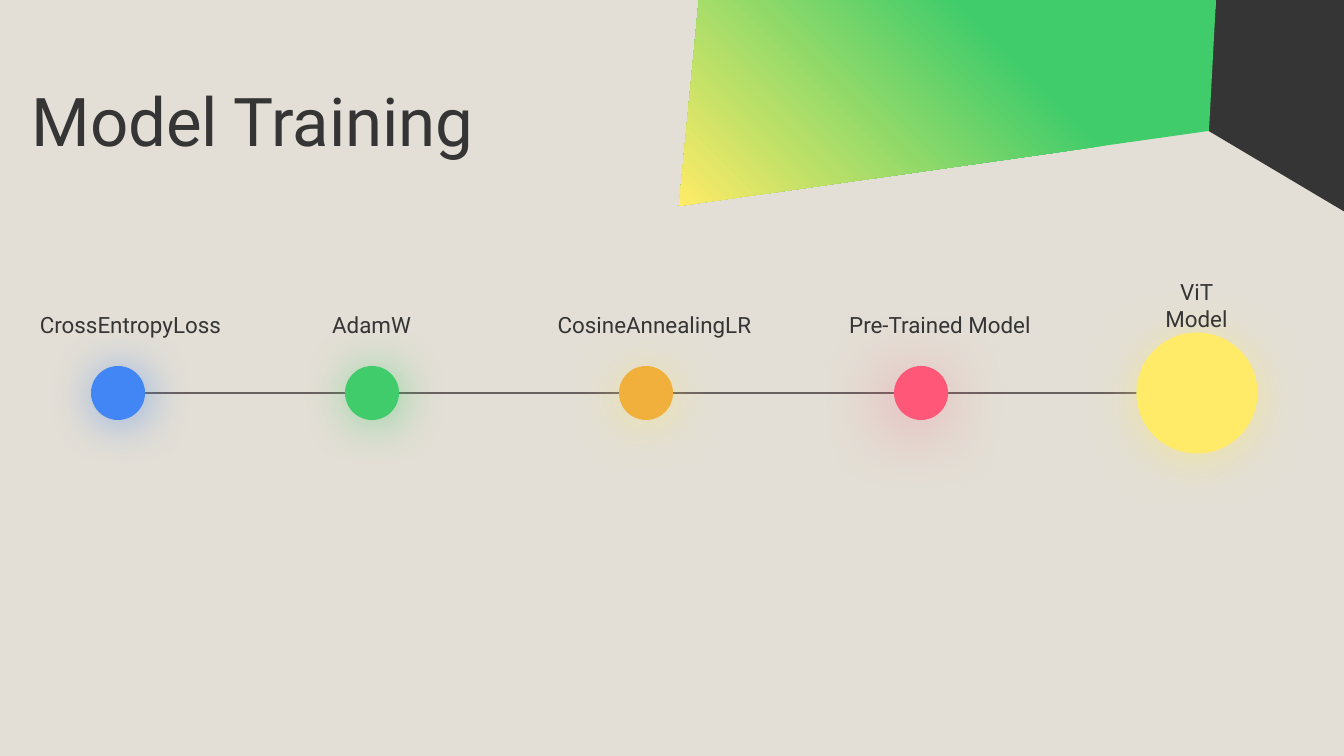
from lxml import etree
from pptx import Presentation
from pptx.dml.color import RGBColor
from pptx.enum.shapes import MSO_CONNECTOR, MSO_SHAPE
from pptx.enum.text import MSO_ANCHOR, MSO_AUTO_SIZE, PP_ALIGN
from pptx.oxml.ns import qn
from pptx.util import Pt

PX = 914400 / 134.4
STRAIGHT = MSO_CONNECTOR.STRAIGHT
OVAL = MSO_SHAPE.OVAL
TOP, MIDDLE = MSO_ANCHOR.TOP, MSO_ANCHOR.MIDDLE
NO_AUTOFIT = MSO_AUTO_SIZE.NONE
LEFT, CENTER = PP_ALIGN.LEFT, PP_ALIGN.CENTER

FONT = "Roboto"
BACKGROUND, DARK, LINE = "E3DFD6", "353535", "69615E"
GREEN, YELLOW = "41CC6B", "FFEB67"

TITLE = "Model Training"
DARK_CORNER = [(1207, 130), (1345, 212), (1345, -1), (1216, -1)]
GRADIENT_PANEL = [(699, -1), (679, 206), (1209, 131), (1216, -1)]
GRADIENT_STOPS = [(0, GREEN), (35, GREEN), (100, YELLOW)]
GRADIENT_ANGLE = 135

LINE_Y = 393
LINE_ENDS = (101, 1230)
LABEL_HEIGHT = 54

# Shadows: colour, opacity %, blur pt, distance pt, angle
# Steps: label, label left, label top, label width, circle centre, diameter, fill, shadow
STEPS = [
    ("CrossEntropyLoss", 21, 298, 219, 118, 54, "4285F4", ("4285F4", 56, 25.9, 2.2, 45)),
    ("AdamW", 311, 298, 121, 372, 54, GREEN, (GREEN, 56, 25.9, 2.2, 45)),
    ("CosineAnnealingLR", 538, 298, 233, 646, 54, "F0B03B", (YELLOW, 50, 27, 3, 90)),
    ("Pre-Trained Model", 818, 298, 244, 921, 54, "FF5777", ("FF5777", 50, 38.2, 6, 130)),
    ("ViT Model", 1136, 265, 121, 1197, 121, YELLOW, (YELLOW, 50, 27, 3, 90)),
]


def px(value):
    return round(value * PX)


def rgb(color):
    return RGBColor.from_string(color)


def add_child(parent, tag, **attributes):
    child = etree.SubElement(parent, qn(tag))
    for name, value in attributes.items():
        child.set(name, str(value))
    return child


def fill_solid(shape, color):
    shape.fill.solid()
    shape.fill.fore_color.rgb = rgb(color)


def fill_gradient(shape, stops, angle):
    """Fill with any number of stops; the angle runs clockwise."""
    shape.fill.gradient()
    shape.fill.gradient_angle = 360 - angle
    stop_list = shape._element.spPr.find(qn("a:gradFill")).find(qn("a:gsLst"))
    for stop in list(stop_list):
        stop_list.remove(stop)
    for position, color in stops:
        stop = add_child(stop_list, "a:gs", pos=position * 1000)
        add_child(stop, "a:srgbClr", val=color)


def add_polygon(slide, points):
    builder = slide.shapes.build_freeform(*points[0], scale=PX)
    builder.add_line_segments(points[1:], close=True)
    shape = builder.convert_to_shape()
    shape.shadow.inherit = False
    shape.line.fill.background()
    return shape


def add_glow_circle(slide, center, diameter, color, shadow):
    circle = slide.shapes.add_shape(
        OVAL, px(center - diameter / 2), px(LINE_Y - diameter / 2), px(diameter), px(diameter)
    )
    fill_solid(circle, color)
    circle.line.fill.background()
    circle.shadow.inherit = False
    shadow_color, opacity, blur, distance, angle = shadow
    effects = circle._element.spPr.find(qn("a:effectLst"))
    outer = add_child(effects, "a:outerShdw", blurRad=Pt(blur), dist=Pt(distance),
                      dir=angle * 60000, algn="bl", rotWithShape=0)
    tint = add_child(outer, "a:srgbClr", val=shadow_color)
    add_child(tint, "a:alpha", val=opacity * 1000)


def write_text(shape, text, size, alignment, anchor):
    frame = shape.text_frame
    frame.word_wrap = True
    frame.auto_size = NO_AUTOFIT
    frame.vertical_anchor = anchor
    frame.margin_left = frame.margin_right = frame.margin_top = frame.margin_bottom = Pt(7.2)
    paragraph = frame.paragraphs[0]
    paragraph.alignment = alignment
    run = paragraph.add_run()
    run.text = text
    run.font.name = FONT
    run.font.size = Pt(size)
    run.font.color.rgb = rgb(DARK)
    return paragraph


def main():
    presentation = Presentation()
    presentation.slide_width, presentation.slide_height = px(1344), px(756)
    slide = presentation.slides.add_slide(presentation.slide_layouts[5])
    fill_solid(slide.background, BACKGROUND)

    title = slide.shapes.title
    title.left, title.top, title.width, title.height = px(18), px(74), px(856), px(101)
    write_text(title, TITLE, 36, LEFT, MIDDLE).line_spacing = 0.9

    fill_solid(add_polygon(slide, DARK_CORNER), DARK)
    fill_gradient(add_polygon(slide, GRADIENT_PANEL), GRADIENT_STOPS, GRADIENT_ANGLE)

    start, end = LINE_ENDS
    timeline = slide.shapes.add_connector(STRAIGHT, px(start), px(LINE_Y), px(end), px(LINE_Y))
    timeline.line.color.rgb = rgb(LINE)
    timeline.line.width = Pt(0.75)
    add_child(timeline._element.spPr, "a:effectLst")

    for label, left, top, width, center, diameter, color, shadow in STEPS:
        add_glow_circle(slide, center, diameter, color, shadow)
        box = slide.shapes.add_textbox(px(left), px(top), px(width), px(LABEL_HEIGHT))
        write_text(box, label, 12, CENTER, TOP)

    presentation.save("out.pptx")


if __name__ == "__main__":
    main()
